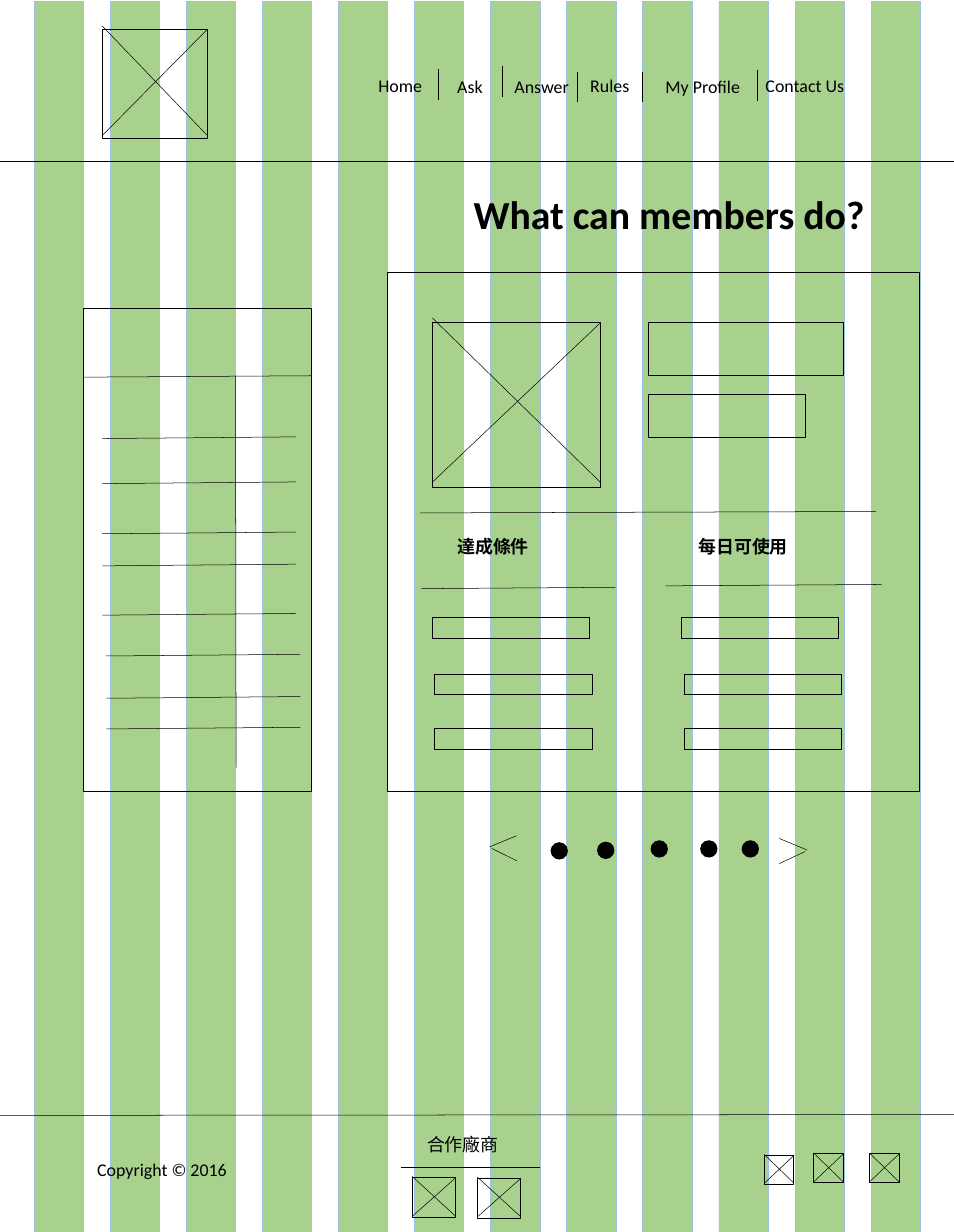
import pptx
import pptx.util
import pptx.dml.color
import pptx.enum.shapes
import pptx.oxml.ns
import lxml.etree

Cm, Pt = pptx.util.Cm, pptx.util.Pt
RGBColor = pptx.dml.color.RGBColor
MSO_SHAPE = pptx.enum.shapes.MSO_SHAPE
BLACK = RGBColor(0x00, 0x00, 0x00)
GREEN = RGBColor(0xA9, 0xD1, 0x8E)
BLUE = RGBColor(0x9D, 0xC3, 0xE6)
WIDTH, HEIGHT = 33.86, 43.74

prs = pptx.Presentation()
prs.slide_width, prs.slide_height = Cm(WIDTH), Cm(HEIGHT)
s = prs.slides.add_slide(prs.slide_layouts[6])


def add_text(text, x, y, w, h=1.02, size=18, bold=False, wrap=False):
    tf = s.shapes.add_textbox(Cm(x), Cm(y), Cm(w), Cm(h)).text_frame
    tf.word_wrap = wrap
    r = tf.paragraphs[0].add_run()
    r.text = text
    r.font.name, r.font.size, r.font.bold = "Calibri", Pt(size), bold
    r.font.color.rgb = BLACK


def add_shape(kind, x, y, w, h, fill=None, line=BLACK):
    sp = s.shapes.add_shape(kind, Cm(x), Cm(y), Cm(w), Cm(h))
    sp.shadow.inherit = False
    if fill is None:
        sp.fill.background()
    else:
        sp.fill.solid()
        sp.fill.fore_color.rgb = fill
    sp.line.color.rgb = line
    sp.line.width = Pt(1)


# Grid columns
for i in range(12):
    add_shape(MSO_SHAPE.RECTANGLE, 1.22 + 2.7 * i, 0.05, 1.75, HEIGHT, GREEN, BLUE)

# Side table frame, main panel, heading boxes
boxes = [
    (2.97, 10.95, 8.08, 17.15),
    (13.77, 9.68, 18.85, 18.42),
    (23.01, 11.46, 6.93, 1.88),
    (23.01, 14.02, 5.59, 1.5),
]

# Two columns of entry boxes
for x, y in [(15.34, 21.92), (15.44, 23.93), (15.44, 25.88)]:
    boxes += [(x, y, 5.59, 0.74), (x + 8.84, y, 5.59, 0.74)]

# Image placeholders: logo, main image, partners, social icons
placeholders = [
    (3.63, 1.04, 3.73, 3.89),
    (15.34, 11.46, 5.97, 5.84),
    (14.63, 41.81, 1.55, 1.42),
    (16.94, 41.83, 1.55, 1.42),
    (27.13, 41.02, 1.05, 1.02),
    (28.88, 40.97, 1.05, 1.02),
    (30.86, 40.97, 1.05, 1.02),
]
for box in boxes + placeholders:
    add_shape(MSO_SHAPE.RECTANGLE, *box)

# Pager dots
for x, y in [(19.56, 29.92), (21.21, 29.9), (23.11, 29.85), (24.87, 29.85), (26.34, 29.85)]:
    add_shape(MSO_SHAPE.OVAL, x, y, 0.58, 0.58, BLACK)

# Header and footer rules, panel dividers, table head and column, pager arrows
lines = [
    (0, 5.72, WIDTH, 5.72),
    (0, 39.6, WIDTH, 39.57),
    (14.22, 41.45, 19.15, 41.45),
    (14.91, 18.21, 31.09, 18.16),
    (14.96, 20.9, 21.84, 20.85),
    (23.62, 20.8, 31.29, 20.75),
    (2.97, 13.39, 11.05, 13.34),
    (8.36, 13.34, 8.38, 27.25),
    (18.34, 29.67, 17.37, 30.07),
    (18.34, 30.56, 17.45, 30.12),
    (27.66, 29.77, 28.65, 30.18),
    (27.66, 30.66, 28.58, 30.23),
]

# Placeholder diagonals
for x, y, w, h in placeholders:
    lift = 0.03 * h
    lines += [(x, y - lift, x + w, y + h - lift), (x, y + h - lift, x + w, y)]

# Menu separators
for x, y in [(15.57, 2.46), (17.83, 2.36), (20.5, 2.54), (22.78, 2.54), (26.87, 2.49)]:
    lines.append((x, y, x, y + 1.09))

# Side table rows
for x, y in [(3.63, 15.57), (3.63, 17.17), (3.63, 18.95), (3.63, 20.09),
             (3.63, 21.84), (3.76, 23.29), (3.78, 24.79), (3.78, 25.88)]:
    lines.append((x, y, x + 6.88, y - 0.06))

for ends in lines:
    line = s.shapes.add_connector(pptx.enum.shapes.MSO_CONNECTOR.STRAIGHT,
                                  *[Cm(v) for v in ends])
    line.line.color.rgb = BLACK
    line.line.width = Pt(0.5)
    lxml.etree.SubElement(line._element.spPr, pptx.oxml.ns.qn("a:effectLst"))

# Menu
for label, x, y, w in [("Home", 13.18, 2.51, 2.08), ("Ask", 15.98, 2.57, 1.42),
                       ("Answer", 18.01, 2.57, 2.46), ("Rules", 20.7, 2.51, 1.91),
                       ("My Profile", 23.37, 2.57, 3.18), ("Contact Us", 26.92, 2.54, 3.33)]:
    add_text(label, x, y, w)

# Title and panel headings
add_text("What\u00a0can\u00a0members\u00a0do?", 16.56, 6.6, 14.53, 1.96, size=40, bold=True)
add_text("達成條件", 15.98, 18.9, 5.51, bold=True, wrap=True)
add_text("每日可使用", 24.54, 18.9, 5.51, bold=True, wrap=True)

# Footer
add_text("Copyright © 2016", 3.2, 41.02, 5.16)
add_text("合作廠商", 14.91, 40.13, 3.07)

prs.save("out.pptx")
